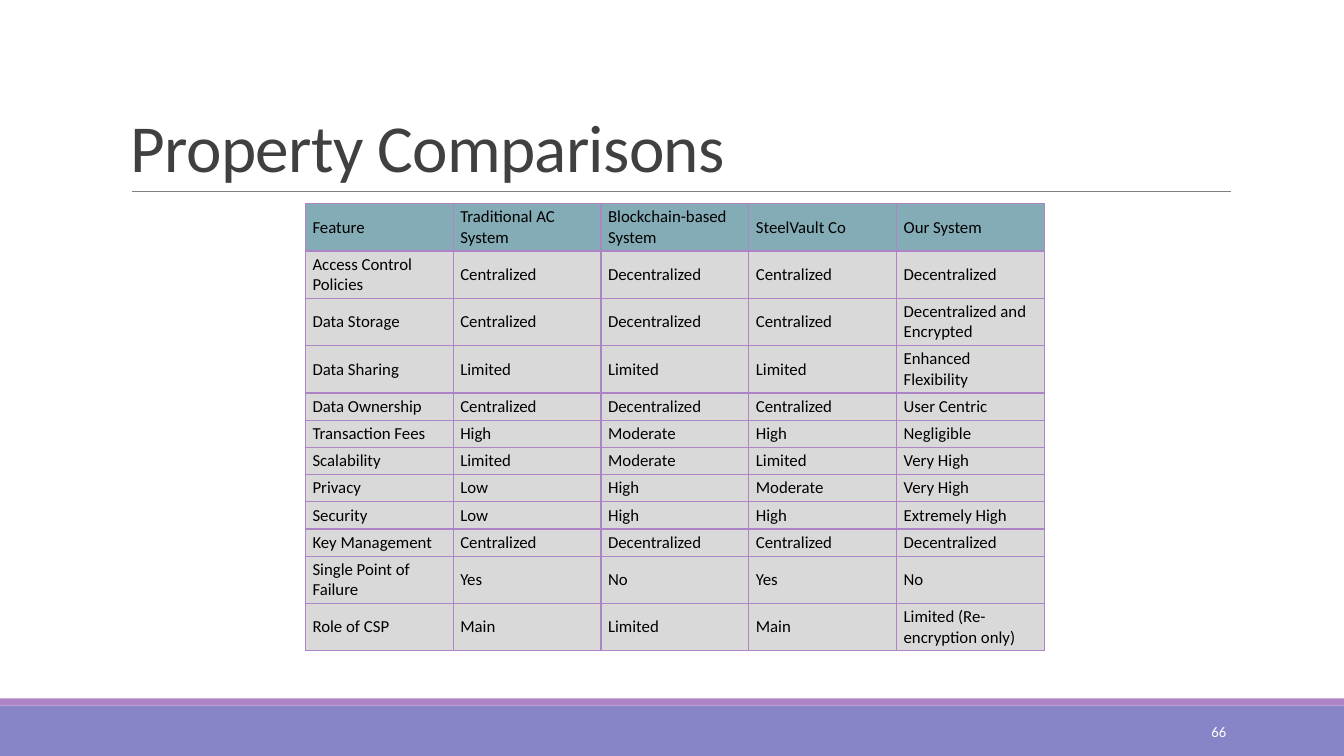
from lxml.etree import SubElement
from pptx import Presentation
from pptx.dml.color import RGBColor
from pptx.enum.shapes import MSO_CONNECTOR, MSO_SHAPE
from pptx.enum.text import MSO_ANCHOR, PP_ALIGN
from pptx.oxml.ns import qn
from pptx.util import Inches, Pt

FONT = "Calibri"
LILAC = "AD84C6"
PERIWINKLE = "8784C7"
TEAL = "84ACB6"
LIGHT_GRAY = "D9D9D9"
TALL_ROW, SHORT_ROW = 0.47, 0.27

COMPARISON = [
    ("Feature", "Traditional AC System", "Blockchain-based System", "SteelVault Co", "Our System"),
    ("Access Control Policies", "Centralized", "Decentralized", "Centralized", "Decentralized"),
    ("Data Storage", "Centralized", "Decentralized", "Centralized", "Decentralized and Encrypted"),
    ("Data Sharing", "Limited", "Limited", "Limited", "Enhanced Flexibility"),
    ("Data Ownership", "Centralized", "Decentralized", "Centralized", "User Centric"),
    ("Transaction Fees", "High", "Moderate", "High", "Negligible"),
    ("Scalability", "Limited", "Moderate", "Limited", "Very High"),
    ("Privacy", "Low", "High", "Moderate", "Very High"),
    ("Security", "Low", "High", "High", "Extremely High"),
    ("Key Management", "Centralized", "Decentralized", "Centralized", "Decentralized"),
    ("Single Point of Failure", "Yes", "No", "Yes", "No"),
    ("Role of CSP", "Main", "Limited", "Main", "Limited (Re-encryption only)"),
]


def color(value):
    """Turn a hex string into a colour."""
    return RGBColor.from_string(value)


def write_text(frame, text, size=12, fill="000000", align=PP_ALIGN.LEFT,
               line_spacing=None, letter_spacing=None):
    """Write one formatted paragraph into a text frame."""
    frame.word_wrap = True
    paragraph = frame.paragraphs[0]
    paragraph.alignment = align
    if line_spacing:
        paragraph.line_spacing = line_spacing
    run = paragraph.add_run()
    run.text = text
    run.font.name = FONT
    run.font.size = Pt(size)
    run.font.color.rgb = color(fill)
    if letter_spacing:
        run.font._element.set("spc", str(round(letter_spacing * 100)))


def add_text_box(slide, box, text, anchor, **text_format):
    """Add a text box with the given vertical anchor."""
    frame = slide.shapes.add_textbox(*map(Inches, box)).text_frame
    frame.vertical_anchor = anchor
    write_text(frame, text, **text_format)


def add_band(slide, box, fill):
    """Add a plain filled rectangle."""
    shape = slide.shapes.add_shape(MSO_SHAPE.RECTANGLE, *map(Inches, box))
    shape.shadow.inherit = False
    shape.fill.solid()
    shape.fill.fore_color.rgb = color(fill)
    shape.line.fill.background()


def add_title(slide, box, text):
    """Add the title with the rule at the bottom of its box."""
    left, top, width, height = box
    bottom = top + height
    rule = slide.shapes.add_connector(
        MSO_CONNECTOR.STRAIGHT,
        *map(Inches, (left + 0.11, bottom, left + width + 0.01, bottom)))
    rule.line.color.rgb = color("808080")
    rule.line.width = Pt(0.5)
    SubElement(rule._element.spPr, qn("a:effectLst"))
    add_text_box(slide, box, text, MSO_ANCHOR.BOTTOM, size=48, fill="404040",
                 line_spacing=0.85, letter_spacing=-0.5)


def add_footer(slide, box, page_number):
    """Add the two bottom bands and the page number."""
    left, top, width, height = box
    strip = 0.07
    add_band(slide, (left, top + strip, width, height - strip), PERIWINKLE)
    add_band(slide, (left, top, width, strip), LILAC)
    add_text_box(slide, (left + 10.83, top + 0.13, 1.43, 0.4), page_number,
                 MSO_ANCHOR.MIDDLE, size=10.5, fill="FFFFFF", align=PP_ALIGN.RIGHT)


def set_borders(cell):
    """Draw a lilac line on all four sides of a cell."""
    properties = cell._tc.get_or_add_tcPr()
    for position, side in enumerate(("lnL", "lnR", "lnT", "lnB")):
        line = SubElement(properties, qn(f"a:{side}"), w=str(Pt(1)))
        fill = SubElement(line, qn("a:solidFill"))
        SubElement(fill, qn("a:srgbClr"), val=LILAC)
        properties.insert(position, line)


def add_comparison_table(slide, box, rows):
    """Add the comparison table with equal columns and a teal header."""
    table = slide.shapes.add_table(len(rows), len(rows[0]), *map(Inches, box)).table
    for column in table.columns:
        column.width = Inches(box[2] / len(rows[0]))
    for row_index, texts in enumerate(rows):
        wraps = any(len(text) > 16 for text in texts)
        table.rows[row_index].height = Inches(TALL_ROW if wraps else SHORT_ROW)
        for column_index, text in enumerate(texts):
            cell = table.cell(row_index, column_index)
            cell.fill.solid()
            cell.fill.fore_color.rgb = color(LIGHT_GRAY if row_index else TEAL)
            cell.vertical_anchor = MSO_ANCHOR.MIDDLE
            cell.margin_left = cell.margin_right = Inches(0.07)
            cell.margin_top = cell.margin_bottom = Inches(0.03)
            write_text(cell.text_frame, text)
            set_borders(cell)


def main():
    """Build the slide and save it."""
    presentation = Presentation()
    presentation.slide_width = Inches(13.33)
    presentation.slide_height = Inches(7.5)
    slide = presentation.slides.add_slide(presentation.slide_layouts[6])
    add_footer(slide, (0, 6.93, 13.33, 0.57), "66")
    add_title(slide, (1.2, 0.31, 11, 1.59), "Property Comparisons")
    add_comparison_table(slide, (3.03, 2.02, 7.33, 4.4), COMPARISON)
    presentation.save("out.pptx")


if __name__ == "__main__":
    main()
